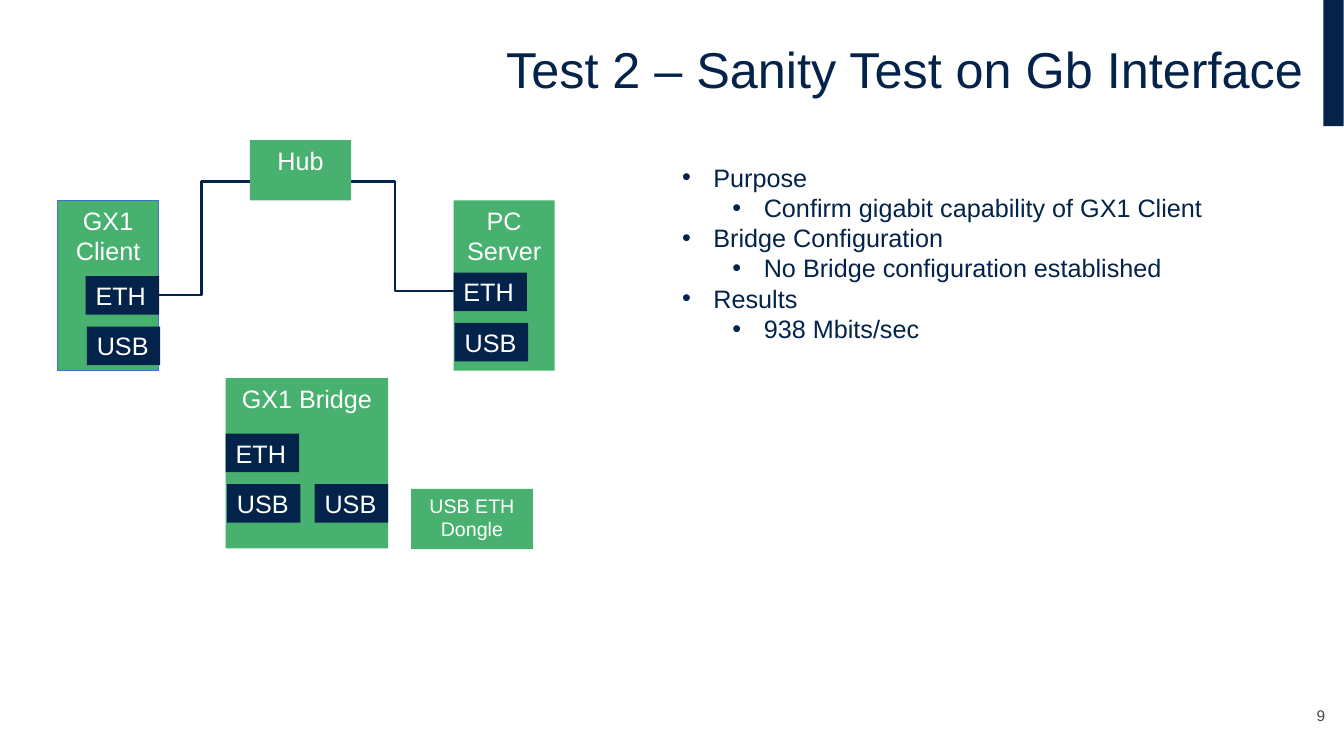
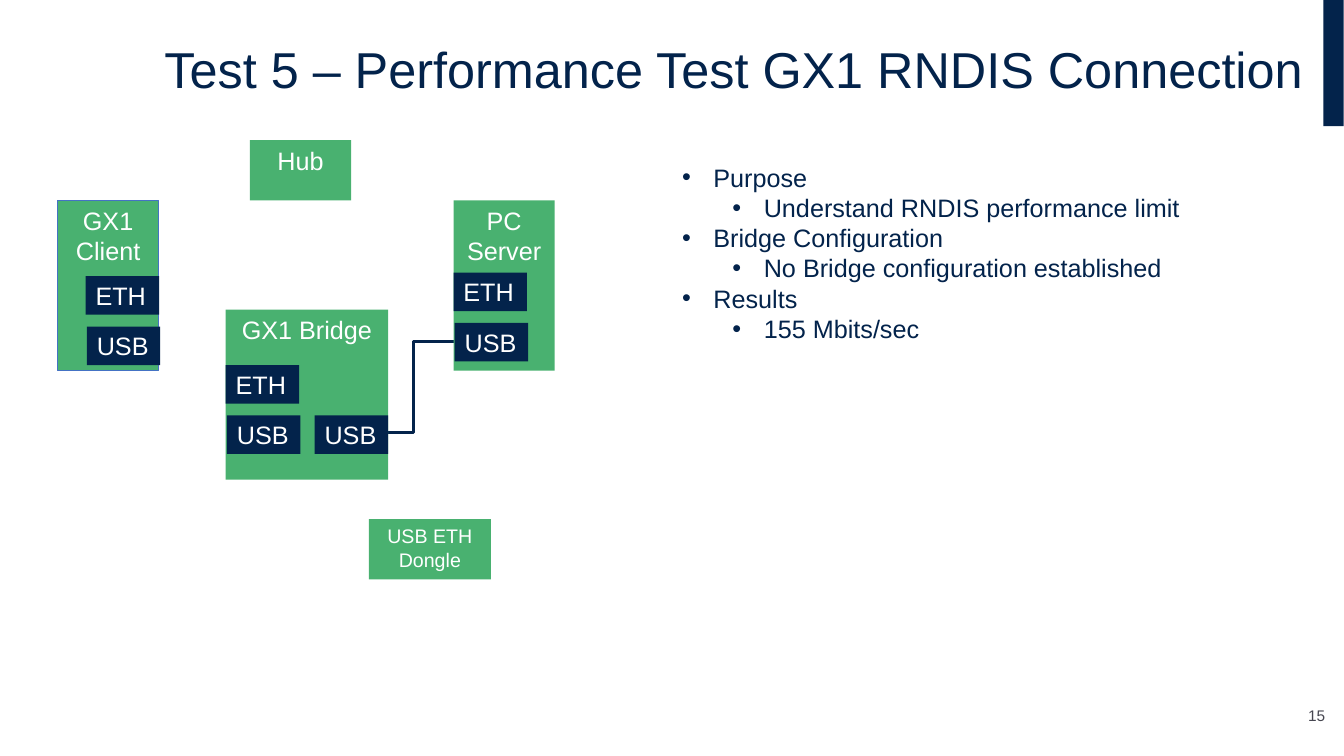
from lxml import etree
from pptx import Presentation
from pptx.dml.color import RGBColor
from pptx.enum import shapes, text
from pptx.oxml import ns
from pptx.util import Cm, Pt

NAVY = RGBColor(0x03, 0x23, 0x4B)
GREEN = RGBColor(0x49, 0xB1, 0x70)
BLUE = RGBColor(0x44, 0x72, 0xC4)
GREY = RGBColor(0x46, 0x46, 0x50)
WHITE = RGBColor(0xFF, 0xFF, 0xFF)
FONT = "Arial"

SLIDE_WIDTH, SLIDE_HEIGHT = 33.87, 19.05
BAND_BOX = (33.35, 0, 0.51, 3.18)
TITLE_BOX = (0.84, 0, 32.26, 3.63)
NUMBER_BOX = (32.26, 17.58, 1.14, 0.81)
DIAGRAM_BOX = (1.45, 3.53)
NOTES_BOX = (16.94, 3.96, 13.79, 4.88)

DEVICE_HEIGHT, NARROW, WIDE = 4.29, 2.55, 4.09
SMALL_HEIGHT, DONGLE_WIDTH = 1.52, 3.07
PORT_WIDTH, PORT_HEIGHT, PORT_STEP, USB_SHIFT = 1.85, 0.97, 1.27, 0.03
BULLET_HANG, BULLET_STEP = 0.79, 1.27

TESTS = [
    {
        "title": "Test 2 – Sanity Test on Gb Interface",
        "number": "9",
        "bridge": (4.24, 6.0),
        "dongle": (8.91, 8.79),
        "cables": [(2.06, 3.91, 5.2, 1.04), (10.08, 3.81, 6.93, 1.04)],
        "purpose": "Confirm gigabit capability of GX1 Client",
        "result": "938\u00a0Mbits/sec",
    },
    {
        "title": "Test 5 – Performance Test GX1 RNDIS Connection",
        "number": "15",
        "bridge": (4.24, 4.27),
        "dongle": (7.85, 9.55),
        "cables": [(10.59, 5.08, 7.36, 7.37)],
        "purpose": "Understand RNDIS performance limit",
        "result": "155\u00a0Mbits/sec",
    },
]


def write(frame, lines, size, color, align, anchor):
    """Fill a text frame with evenly styled paragraphs."""
    frame.word_wrap = True
    frame.vertical_anchor = anchor
    frame.text = "\n".join(lines)
    for paragraph in frame.paragraphs:
        paragraph.alignment = align
        for run in paragraph.runs:
            run.font.name = FONT
            run.font.size = Pt(size)
            run.font.color.rgb = color


def add_text(slide, box, lines, size, color, align, anchor):
    """Add a text box and return its frame."""
    frame = slide.shapes.add_textbox(*map(Cm, box)).text_frame
    write(frame, lines, size, color, align, anchor)
    return frame


def add_block(slide, box, fill, outline=None):
    """Add a flat rectangle, outlined only on request."""
    shape = slide.shapes.add_shape(shapes.MSO_SHAPE.RECTANGLE, *map(Cm, box))
    shape.shadow.inherit = False
    shape.fill.solid()
    shape.fill.fore_color.rgb = fill
    if outline is None:
        shape.line.fill.background()
    else:
        shape.line.color.rgb = outline
        shape.line.width = Pt(1)
    return shape


def add_device(slide, box, label, size=18, outline=None):
    """Add a green device with its label at the top."""
    shape = add_block(slide, box, GREEN, outline)
    write(shape.text_frame, [label], size, WHITE, text.PP_ALIGN.CENTER, text.MSO_ANCHOR.TOP)


def add_port(slide, left, top, label):
    """Add a navy port label."""
    shape = add_block(slide, (left, top, PORT_WIDTH, PORT_HEIGHT), NAVY)
    write(shape.text_frame, [label], 18, WHITE, text.PP_ALIGN.LEFT, text.MSO_ANCHOR.MIDDLE)


def add_port_pair(slide, left, top):
    """Stack an ETH port over a USB port."""
    add_port(slide, left, top, "ETH")
    add_port(slide, left + USB_SHIFT, top + PORT_STEP, "USB")


def add_cable(slide, ends):
    """Add an elbow line between two points."""
    cable = slide.shapes.add_connector(shapes.MSO_CONNECTOR.ELBOW, *map(Cm, ends))
    cable.line.color.rgb = NAVY
    cable.line.width = Pt(1.75)
    etree.SubElement(cable.element.spPr, ns.qn("a:effectLst"))


def draw_frame(slide, title, number):
    """Draw the corner band, title and slide number."""
    add_block(slide, BAND_BOX, NAVY)
    right = text.PP_ALIGN.RIGHT
    heading = add_text(slide, TITLE_BOX, [title], 36, NAVY, right, text.MSO_ANCHOR.MIDDLE)
    heading.paragraphs[0].line_spacing = 0.9
    footer = add_text(slide, NUMBER_BOX, [number], 11, GREY, right, text.MSO_ANCHOR.BOTTOM)
    footer.margin_left = footer.margin_right = 0


def draw_diagram(slide, box, test):
    """Draw the network, with cables behind the devices."""
    left, top = box
    for x1, y1, x2, y2 in test["cables"]:
        add_cable(slide, (left + x1, top + y1, left + x2, top + y2))

    bridge_left, bridge_top = left + test["bridge"][0], top + test["bridge"][1]
    dongle_left, dongle_top = left + test["dongle"][0], top + test["dongle"][1]
    server_left, device_top = left + 9.98, top + SMALL_HEIGHT

    add_device(slide, (bridge_left, bridge_top, WIDE, DEVICE_HEIGHT), "GX1 Bridge")
    add_device(slide, (left, device_top, NARROW, DEVICE_HEIGHT), "GX1 Client", outline=BLUE)
    add_device(slide, (dongle_left, dongle_top, DONGLE_WIDTH, SMALL_HEIGHT), "USB ETH Dongle", 14)
    add_device(slide, (server_left, device_top, NARROW, DEVICE_HEIGHT), "PC Server")
    add_device(slide, (left + 4.85, top, NARROW, SMALL_HEIGHT), "Hub")

    add_port_pair(slide, left + 0.71, device_top + 1.91)
    add_port_pair(slide, server_left, device_top + 1.82)
    add_port_pair(slide, bridge_left, bridge_top + 1.4)
    add_port(slide, bridge_left + WIDE - PORT_WIDTH, bridge_top + 1.4 + PORT_STEP, "USB")


def draw_notes(slide, box, test):
    """List headings, each with an indented finding."""
    lines = [
        "Purpose", test["purpose"],
        "Bridge Configuration", "No Bridge configuration established",
        "Results", test["result"],
    ]
    frame = add_text(slide, box, lines, 18, NAVY, text.PP_ALIGN.LEFT, text.MSO_ANCHOR.TOP)
    for index, paragraph in enumerate(frame.paragraphs):
        paragraph.level = index % 2
        properties = paragraph._p.get_or_add_pPr()
        properties.set("marL", str(Cm(BULLET_HANG + paragraph.level * BULLET_STEP)))
        properties.set("indent", str(-Cm(BULLET_HANG)))
        etree.SubElement(properties, ns.qn("a:buFont")).set("typeface", FONT)
        etree.SubElement(properties, ns.qn("a:buChar")).set("char", "•")


def draw_test(presentation, test):
    """Build one test slide."""
    slide = presentation.slides.add_slide(presentation.slide_layouts[6])
    draw_frame(slide, test["title"], test["number"])
    draw_diagram(slide, DIAGRAM_BOX, test)
    draw_notes(slide, NOTES_BOX, test)


def main():
    """Build and save the presentation."""
    presentation = Presentation()
    presentation.slide_width = Cm(SLIDE_WIDTH)
    presentation.slide_height = Cm(SLIDE_HEIGHT)
    for test in TESTS:
        draw_test(presentation, test)
    presentation.save("out.pptx")


main()
